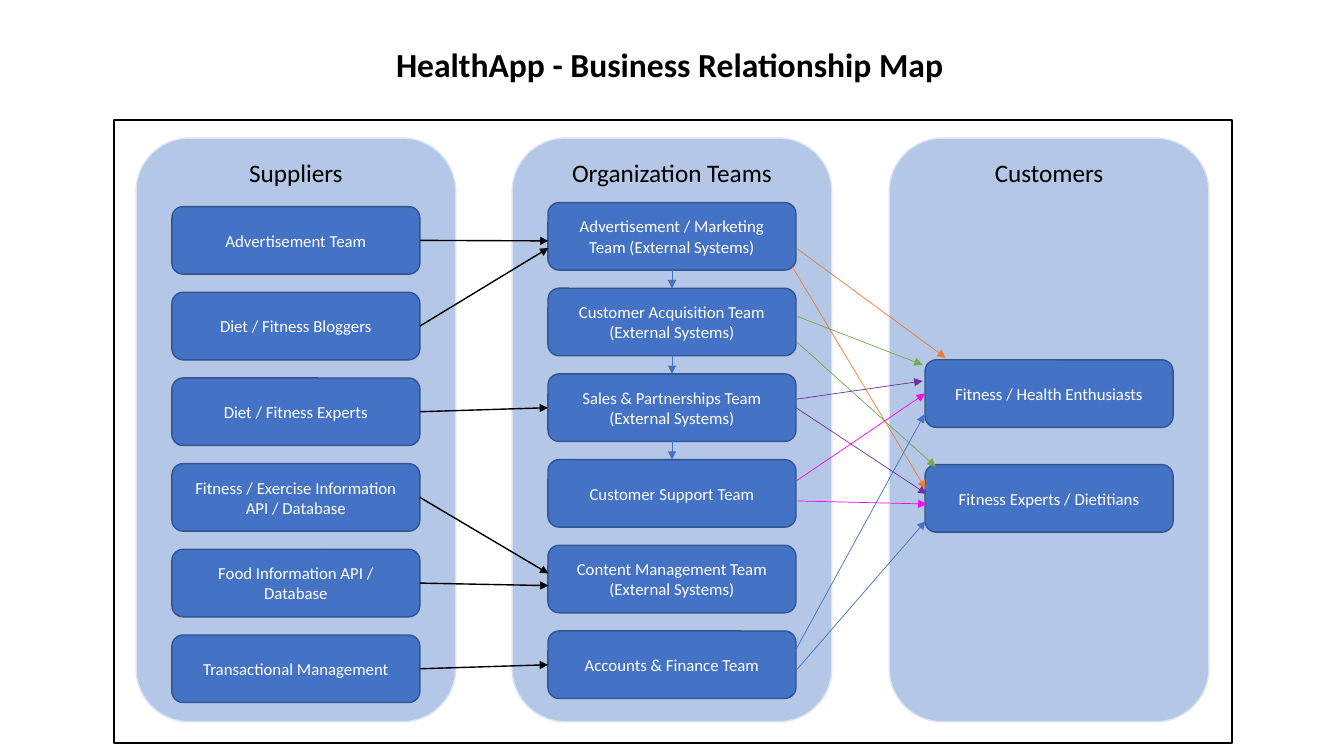
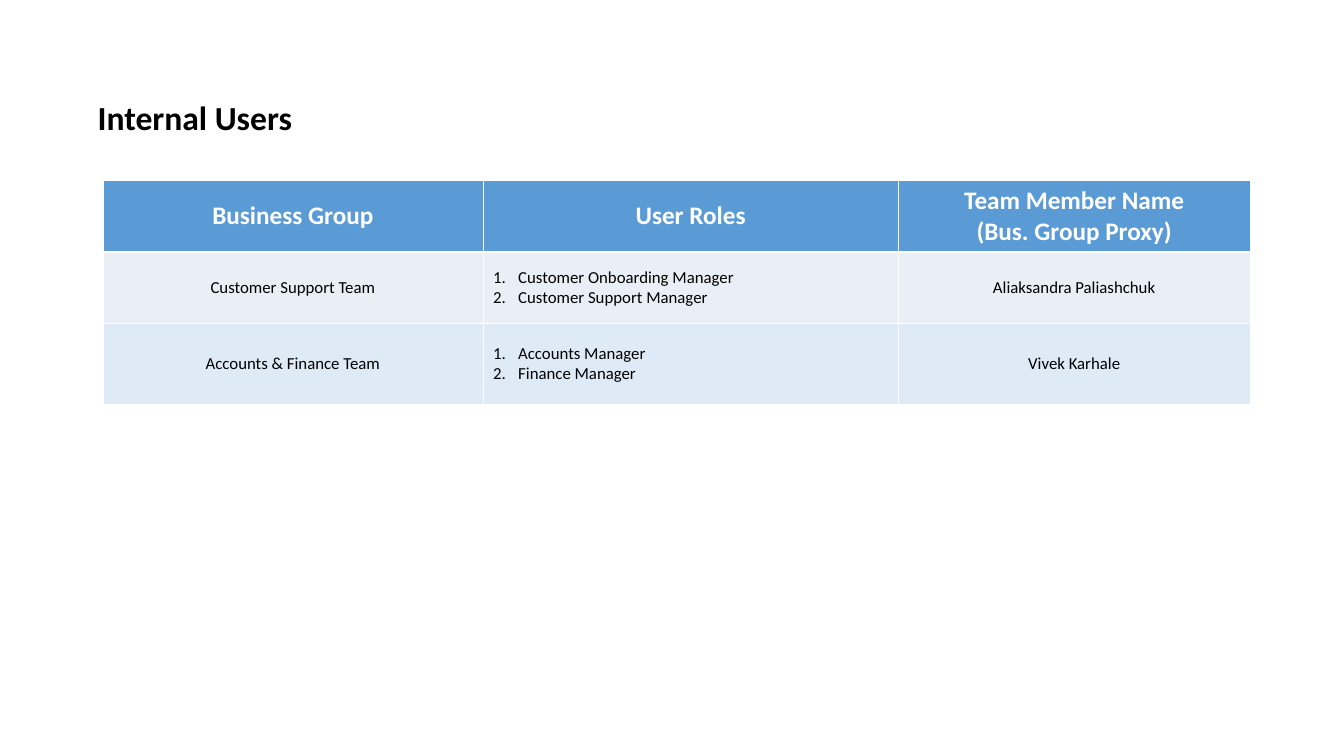
from lxml import etree
from pptx import Presentation
from pptx.dml.color import RGBColor
from pptx.enum.shapes import MSO_CONNECTOR, MSO_SHAPE
from pptx.enum.text import MSO_ANCHOR, MSO_AUTO_SIZE, PP_ALIGN
from pptx.oxml.ns import qn
from pptx.util import Inches, Pt

STRAIGHT = MSO_CONNECTOR.STRAIGHT
RECTANGLE, ROUNDED = MSO_SHAPE.RECTANGLE, MSO_SHAPE.ROUNDED_RECTANGLE
MIDDLE = MSO_ANCHOR.MIDDLE
GROW = MSO_AUTO_SIZE.SHAPE_TO_FIT_TEXT
LEFT, CENTER = PP_ALIGN.LEFT, PP_ALIGN.CENTER
TOP_SIDE, LEFT_SIDE, BOTTOM_SIDE, RIGHT_SIDE = range(4)

# Shared style
FONT = "Calibri"
COLORS = {
    "black": "000000", "white": "FFFFFF",
    "panel": "B4C7E7", "panel line": "DAE3F3",
    "blue": "4472C4", "box line": "325491",
    "orange": "ED7D31", "green": "70AD47",
    "purple": "7030A0", "pink": "FF05EA",
    "header": "5B9BD5", "first row": "EAEFF7", "second row": "DEEBF7",
}

# Relationship map: columns of boxes
PANEL_TOP, PANEL_WIDTH, PANEL_HEIGHT = 1.37, 3.17, 5.79
BOX_WIDTH, BOX_HEIGHT = 2.46, 0.67
# heading, heading width, panel left, first box top, box pitch, box texts
COLUMNS = [
    ("Suppliers", 1.14, 1.35, 2.05, 0.85, [
        ["Advertisement Team"],
        ["Diet / Fitness Bloggers"],
        ["Diet / Fitness Experts"],
        ["Fitness / Exercise Information API / Database"],
        ["Food Information API / Database"],
        ["Transactional Management"],
    ]),
    ("Organization Teams", 2.21, 5.08, 2.01, 0.85, [
        ["Advertisement / Marketing Team (External Systems)"],
        ["Customer Acquisition Team", "(External Systems)"],
        ["Sales & Partnerships Team", "(External Systems)"],
        ["Customer Support Team"],
        ["Content Management Team", "(External Systems)"],
        ["Accounts & Finance Team"],
    ]),
    ("Customers", 1.31, 8.82, 3.57, 1.04, [
        ["Fitness / Health Enthusiasts"],
        ["Fitness Experts / Dietitians"],
    ]),
]

# Internal users table
COLUMN_WIDTHS = [3.77, 4.12, 3.49]
ROW_HEIGHTS = [0.69, 0.71, 0.8]
ROW_FILLS = ["header", "first row", "second row"]
TABLE_ROWS = [
    [["Business Group"], ["User Roles"], ["Team Member Name", "(Bus. Group Proxy)"]],
    [["Customer Support Team"],
     ["Customer Onboarding Manager", "Customer Support Manager"],
     ["Aliaksandra Paliashchuk"]],
    [["Accounts & Finance Team"],
     ["Accounts Manager", "Finance Manager"],
     ["Vivek Karhale"]],
]
ROLES_COLUMN = 1


def rgb(color):
    return RGBColor.from_string(COLORS[color])


def write(text_frame, lines, size, color, bold=False, align=CENTER):
    """Fill a text frame with one paragraph per line."""
    for index, line in enumerate(lines):
        paragraph = text_frame.paragraphs[0] if index == 0 else text_frame.add_paragraph()
        paragraph.alignment = align
        run = paragraph.add_run()
        run.text = line
        run.font.name = FONT
        run.font.size = Pt(size)
        run.font.bold = bold
        run.font.color.rgb = rgb(color)


def add_label(slide, text, left, top, width, height, size, bold=False, align=LEFT):
    shape = slide.shapes.add_textbox(Inches(left), Inches(top), Inches(width), Inches(height))
    shape.text_frame.word_wrap = True
    shape.text_frame.auto_size = GROW
    write(shape.text_frame, [text], size, "black", bold, align)


def add_title(slide, text, left, top, width):
    add_label(slide, text, left, top, width, 0.5, 24, bold=True)


def add_panel(slide, kind, left, top, width, height, fill, line):
    shape = slide.shapes.add_shape(kind, Inches(left), Inches(top), Inches(width), Inches(height))
    shape.shadow.inherit = False
    if fill:
        shape.fill.solid()
        shape.fill.fore_color.rgb = rgb(fill)
    else:
        shape.fill.background()
    shape.line.color.rgb = rgb(line)
    shape.line.width = Pt(1)
    return shape


def add_box(slide, lines, left, top):
    shape = add_panel(slide, ROUNDED, left, top, BOX_WIDTH, BOX_HEIGHT, "blue", "box line")
    shape.text_frame.word_wrap = True
    shape.text_frame.vertical_anchor = MIDDLE
    write(shape.text_frame, lines, 12, "white")
    return shape


def add_column(slide, heading, heading_width, left, first_top, pitch, texts):
    """Draw a panel with its heading and return its boxes."""
    add_panel(slide, ROUNDED, left, PANEL_TOP, PANEL_WIDTH, PANEL_HEIGHT, "panel", "panel line")
    middle = left + PANEL_WIDTH / 2
    add_label(slide, heading, middle - heading_width / 2, 1.51, heading_width, 0.4, 18, align=CENTER)
    return [add_box(slide, lines, middle - BOX_WIDTH / 2, first_top + index * pitch)
            for index, lines in enumerate(texts)]


def add_arrow(slide, start, end, color, width=0.5):
    """Each end is a point (x, y) or a pair (shape, side)."""
    joined = [not isinstance(place[0], float) for place in (start, end)]
    points = [(0, 0) if is_joined else place for is_joined, place in zip(joined, (start, end))]
    connector = slide.shapes.add_connector(
        STRAIGHT, *(Inches(value) for point in points for value in point))
    if joined[0]:
        connector.begin_connect(*start)
    if joined[1]:
        connector.end_connect(*end)
    connector.line.color.rgb = rgb(color)
    connector.line.width = Pt(width)
    properties = connector._element.spPr
    etree.SubElement(properties.find(qn("a:ln")), qn("a:tailEnd"), type="triangle")
    etree.SubElement(properties, qn("a:effectLst"))


def set_borders(cell, top, bottom):
    """White cell borders; top and bottom are widths in points."""
    properties = cell._tc.get_or_add_tcPr()
    for side, width in (("L", 0.53), ("R", 0.53), ("T", top), ("B", bottom)):
        line = etree.SubElement(properties, qn("a:ln" + side), w=str(Pt(width)))
        fill = etree.SubElement(line, qn("a:solidFill"))
        etree.SubElement(fill, qn("a:srgbClr"), val=COLORS["white"])


def number_paragraphs(text_frame):
    for paragraph in text_frame.paragraphs:
        properties = paragraph._p.get_or_add_pPr()
        properties.set("marL", str(Inches(0.25)))
        properties.set("indent", str(Inches(-0.25)))
        etree.SubElement(properties, qn("a:buFont"), typeface="+mj-lt")
        etree.SubElement(properties, qn("a:buAutoNum"), type="arabicPeriod")


def add_users_table(slide, left, top):
    table = slide.shapes.add_table(
        len(ROW_HEIGHTS), len(COLUMN_WIDTHS), Inches(left), Inches(top),
        Inches(sum(COLUMN_WIDTHS)), Inches(sum(ROW_HEIGHTS))).table
    for column, width in zip(table.columns, COLUMN_WIDTHS):
        column.width = Inches(width)
    for row_index, texts in enumerate(TABLE_ROWS):
        table.rows[row_index].height = Inches(ROW_HEIGHTS[row_index])
        header = row_index == 0
        for column_index, lines in enumerate(texts):
            cell = table.cell(row_index, column_index)
            set_borders(cell, 1.6 if row_index == 1 else 0.53, 1.6 if header else 0.53)
            cell.fill.solid()
            cell.fill.fore_color.rgb = rgb(ROW_FILLS[row_index])
            cell.vertical_anchor = MIDDLE
            numbered = column_index == ROLES_COLUMN and not header
            write(cell.text_frame, lines, 18 if header else 12,
                  "white" if header else "black", header, LEFT if numbered else CENTER)
            if numbered:
                number_paragraphs(cell.text_frame)


def build_relationship_map(slide):
    add_title(slide, "HealthApp - Business Relationship Map", 3.83, 0.39, 5.67)
    suppliers, teams, customers = [add_column(slide, *column) for column in COLUMNS]

    # Suppliers to teams
    targets = [(5.44, 2.39), (5.44, 2.46), (teams[2], LEFT_SIDE),
               (5.44, 5.69), (5.44, 5.81), (teams[5], LEFT_SIDE)]
    for supplier, target in zip(suppliers, targets):
        add_arrow(slide, (supplier, RIGHT_SIDE), target, "black", 1)

    # Team to next team
    for upper, lower in zip(teams[:3], teams[1:4]):
        add_arrow(slide, (upper, BOTTOM_SIDE), (lower, TOP_SIDE), "blue")

    # Teams to customers
    for color, start, end in [
        ("orange", (7.91, 2.47), (9.38, 3.55)),
        ("orange", (7.86, 2.65), (9.18, 4.85)),
        ("green", (7.91, 3.14), (9.15, 3.62)),
        ("green", (7.9, 3.39), (9.28, 4.63)),
        ("purple", (7.9, 3.96), (9.15, 3.78)),
        ("purple", (teams[2], RIGHT_SIDE), (9.19, 4.9)),
        ("pink", (7.9, 4.77), (customers[0], LEFT_SIDE)),
        ("pink", (7.91, 4.97), (9.19, 5.0)),
        ("blue", (7.88, 6.47), (9.17, 4.11)),
        ("blue", (7.88, 6.67), (9.18, 5.17)),
    ]:
        add_arrow(slide, start, end, color)

    # Frame
    add_panel(slide, RECTANGLE, 1.13, 1.19, 11.09, 6.18, None, "black")


def build_internal_users(slide):
    add_users_table(slide, 1.02, 1.79)
    add_title(slide, "Internal Users", 0.87, 0.91, 3)


def main():
    presentation = Presentation()
    presentation.slide_width, presentation.slide_height = Inches(13.33), Inches(7.5)
    blank = presentation.slide_layouts[6]
    for build in (build_relationship_map, build_internal_users):
        build(presentation.slides.add_slide(blank))
    presentation.save("out.pptx")


if __name__ == "__main__":
    main()
